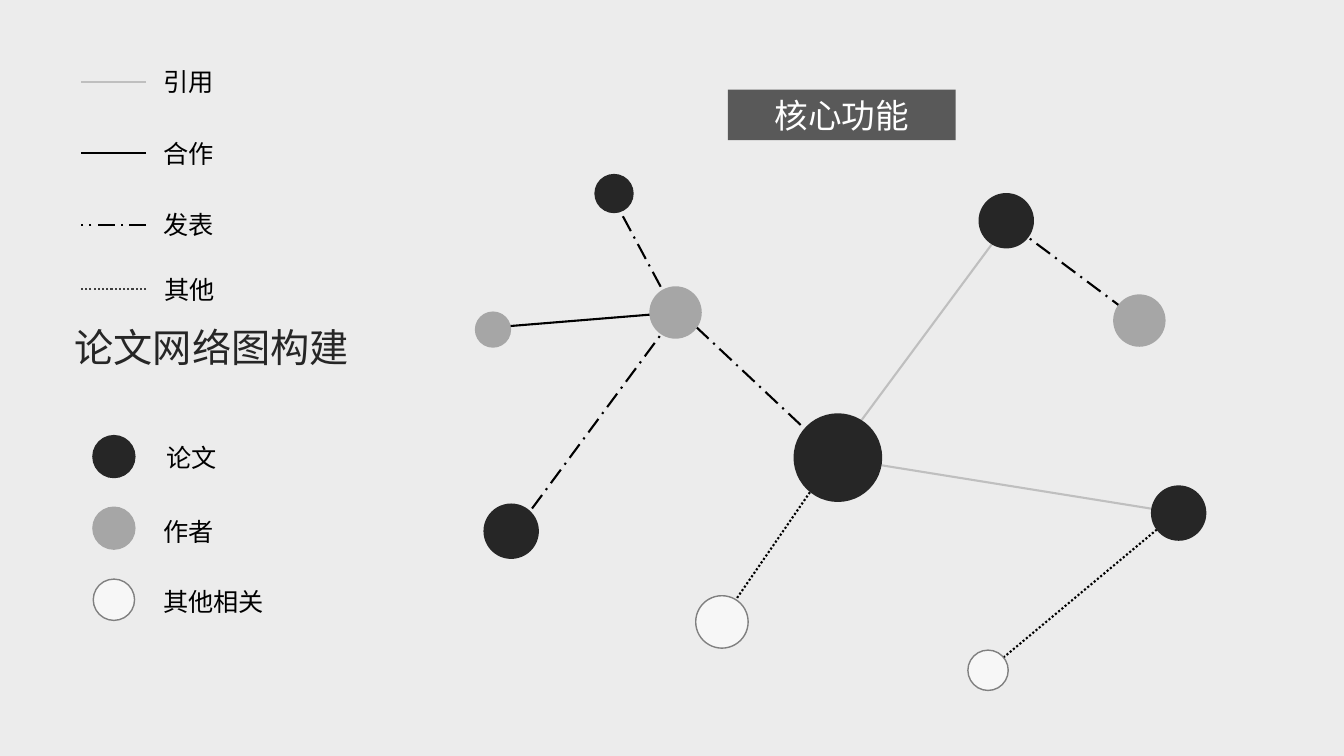
"""Build the slide showing how a paper network graph is constructed."""
from lxml import etree
from pptx import Presentation
from pptx.dml.color import RGBColor
from pptx.enum import dml, shapes, text
from pptx.oxml.ns import qn
from pptx.util import Inches, Pt

COLORS = {
    "background": "ECECEC", "banner": "595959", "title": "262626",
    "paper": "262626", "author": "A6A6A6", "other": "F7F7F7", "ring": "808080",
    "cite": "BFBFBF", "ink": "000000", "dots": "404040", "white": "FFFFFF",
}
DASH = dml.MSO_LINE
RELATIONS = {
    "cite": ("cite", None),
    "cooperate": ("ink", None),
    "publish": ("ink", DASH.LONG_DASH_DOT),
    "related": ("ink", DASH.ROUND_DOT),
    "related key": ("dots", DASH.ROUND_DOT),
}
EDGES = [
    ("cite", (9.98, 2.23), (8.27, 4.54)),
    ("publish", (10.03, 2.23), (11.3, 3.18)),
    ("cite", (11.69, 5.09), (8.27, 4.54)),
    ("related", (11.73, 5.04), (9.8, 6.65)),
    ("related", (8.27, 4.54), (7.16, 6.15)),
    ("cooperate", (6.71, 3.1), (4.87, 3.25)),
    ("publish", (6.68, 3.15), (4.97, 5.46)),
    ("publish", (6.03, 1.87), (6.69, 3.1)),
    ("publish", (8.17, 4.43), (6.89, 3.23)),
]
NODES = [
    ("paper", 8.31, 4.54, 0.88),
    ("author", 6.7, 3.1, 0.52),
    ("paper", 9.98, 2.19, 0.55),
    ("paper", 11.69, 5.09, 0.55),
    ("paper", 5.07, 5.27, 0.55),
    ("paper", 6.09, 1.92, 0.39),
    ("author", 4.89, 3.27, 0.36),
    ("other", 7.16, 6.17, 0.52),
    ("other", 9.8, 6.65, 0.4),
    ("author", 11.3, 3.18, 0.52),
]
RELATION_KEY = [
    ("cite", "引用", 0.81, 1.52),
    ("cooperate", "合作", 1.52, 1.52),
    ("publish", "发表", 2.23, 1.52),
    ("related key", "其他", 2.87, 1.53),
]
NODE_KEY = [
    ("paper", "论文", 0.43, 1.55, 4.54),
    ("author", "作者", 0.43, 1.52, 5.27),
    ("other", "其他相关", 0.41, 1.52, 5.97),
]
KEY_LINE = (1.45, 0.8)
KEY_NODE_X, KEY_NODE_TOP, KEY_NODE_STEP = 1.13, 4.53, 0.71
LABEL_WIDTH, LABEL_HEIGHT = 1.53, 0.4


def rgb(name):
    return RGBColor.from_string(COLORS[name])


def write(part, wording, size, color, align, anchor):
    frame = part.text_frame
    frame.text = wording
    frame.word_wrap = True
    frame.vertical_anchor = anchor
    paragraph = frame.paragraphs[0]
    paragraph.alignment = align
    for key, value in {"name": "Arial", "size": Pt(size), "bold": False}.items():
        setattr(paragraph.font, key, value)
    paragraph.font.color.rgb = rgb(color)


def add_relation(slide, relation, start, end):
    color, dash = RELATIONS[relation]
    edge = slide.shapes.add_connector(
        shapes.MSO_CONNECTOR.STRAIGHT, *map(Inches, (*start, *end)))
    edge.line.color.rgb = rgb(color)
    edge.line.width = Pt(1.5)
    if dash:
        edge.line.dash_style = dash
    etree.SubElement(edge._element.spPr, qn("a:effectLst"))


def add_filled(slide, preset, box, color):
    part = slide.shapes.add_shape(preset, *map(Inches, box))
    part.shadow.inherit = False
    part.fill.solid()
    part.fill.fore_color.rgb = rgb(color)
    part.line.fill.background()
    return part


def add_node(slide, role, x, y, size):
    box = (x - size / 2, y - size / 2, size, size)
    node = add_filled(slide, shapes.MSO_SHAPE.OVAL, box, role)
    if role == "other":
        node.line.color.rgb = rgb("ring")
        node.line.width = Pt(1)


def add_label(slide, wording, left, middle):
    box = (left, middle - LABEL_HEIGHT / 2, LABEL_WIDTH, LABEL_HEIGHT)
    label = slide.shapes.add_textbox(*map(Inches, box))
    write(label, wording, 18, "ink", text.PP_ALIGN.LEFT, text.MSO_ANCHOR.MIDDLE)


def main():
    deck = Presentation()
    deck.slide_width, deck.slide_height = Inches(13.33), Inches(7.5)
    slide = deck.slides.add_slide(deck.slide_layouts[5])
    slide.background.fill.solid()
    slide.background.fill.fore_color.rgb = rgb("background")

    title = slide.shapes.title
    place = {"left": 0.29, "top": 3.16, "width": 3.62, "height": 1.51}
    for side, length in place.items():
        setattr(title, side, Inches(length))
    write(title, "论文网络图构建", 28, "title",
          text.PP_ALIGN.CENTER, text.MSO_ANCHOR.TOP)

    for edge in EDGES:
        add_relation(slide, *edge)
    banner = add_filled(
        slide, shapes.MSO_SHAPE.RECTANGLE, (7.22, 0.89, 2.26, 0.5), "banner")
    write(banner, "核心功能", 24, "white",
          text.PP_ALIGN.CENTER, text.MSO_ANCHOR.MIDDLE)
    for node in NODES:
        add_node(slide, *node)

    for row, (role, wording, size, left, middle) in enumerate(NODE_KEY):
        add_node(slide, role, KEY_NODE_X, KEY_NODE_TOP + row * KEY_NODE_STEP, size)
        add_label(slide, wording, left, middle)
    for relation, wording, middle, left in RELATION_KEY:
        start, end = ((x, middle) for x in KEY_LINE)
        add_relation(slide, relation, start, end)
        add_label(slide, wording, left, middle)

    deck.save("out.pptx")


if __name__ == "__main__":
    main()
